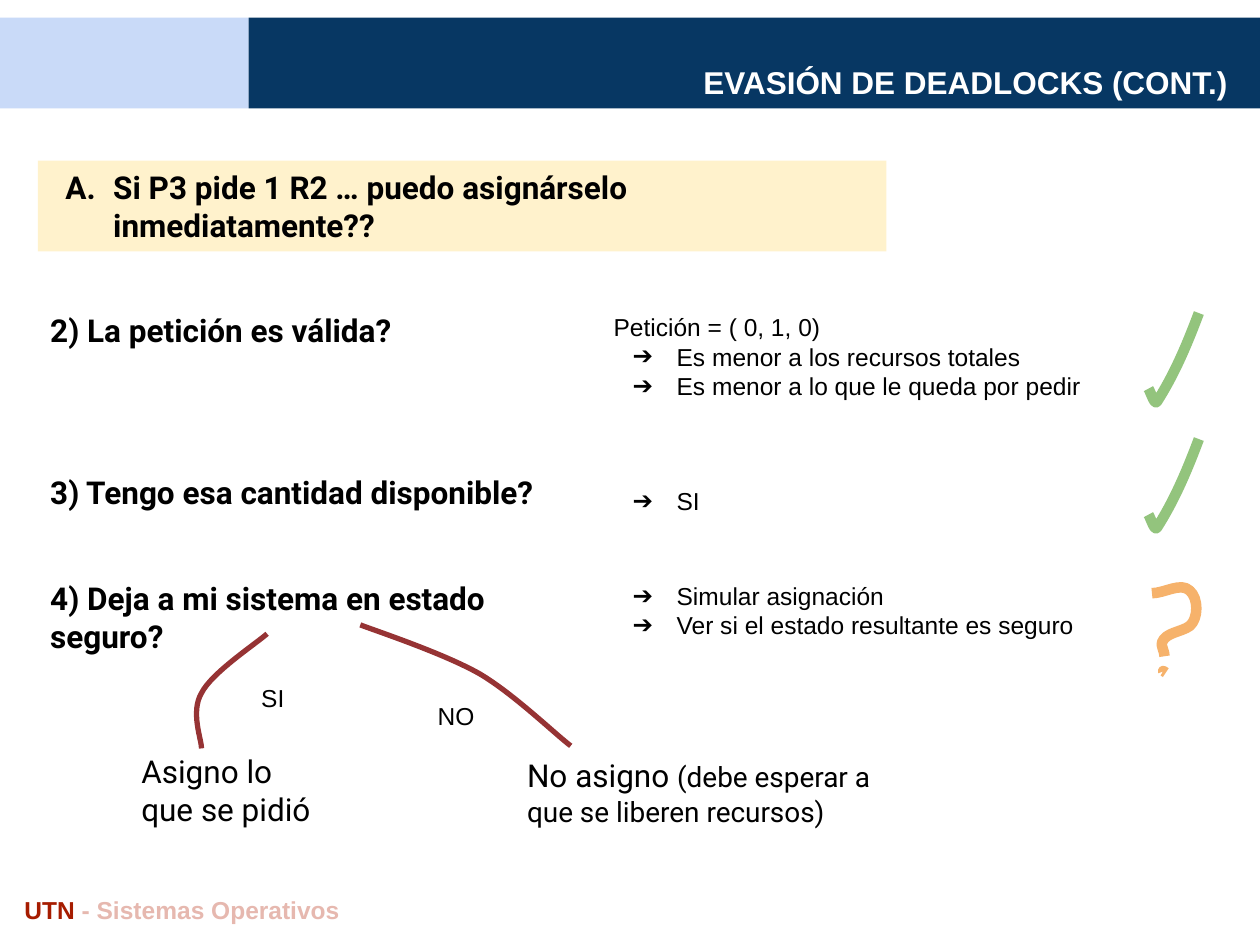
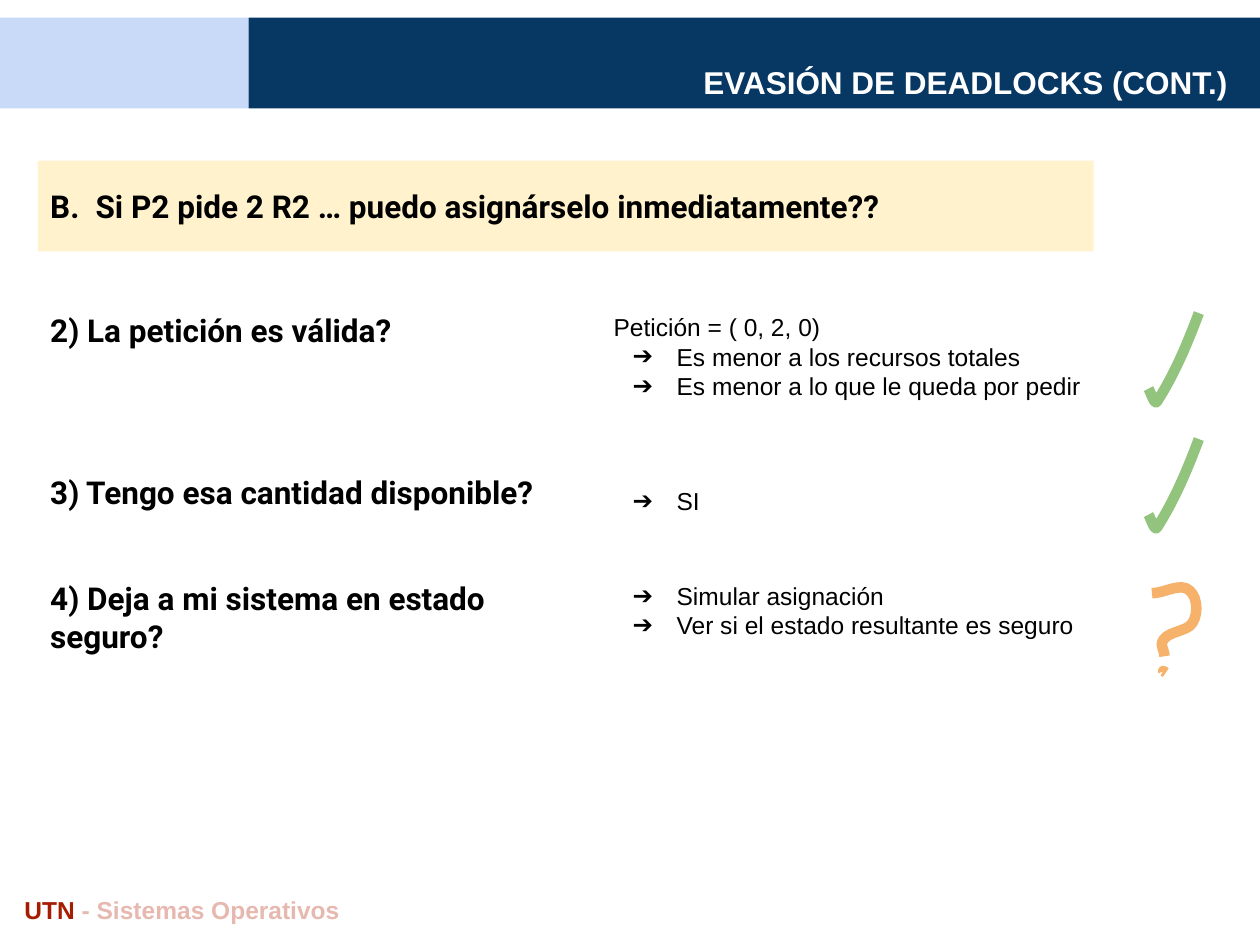
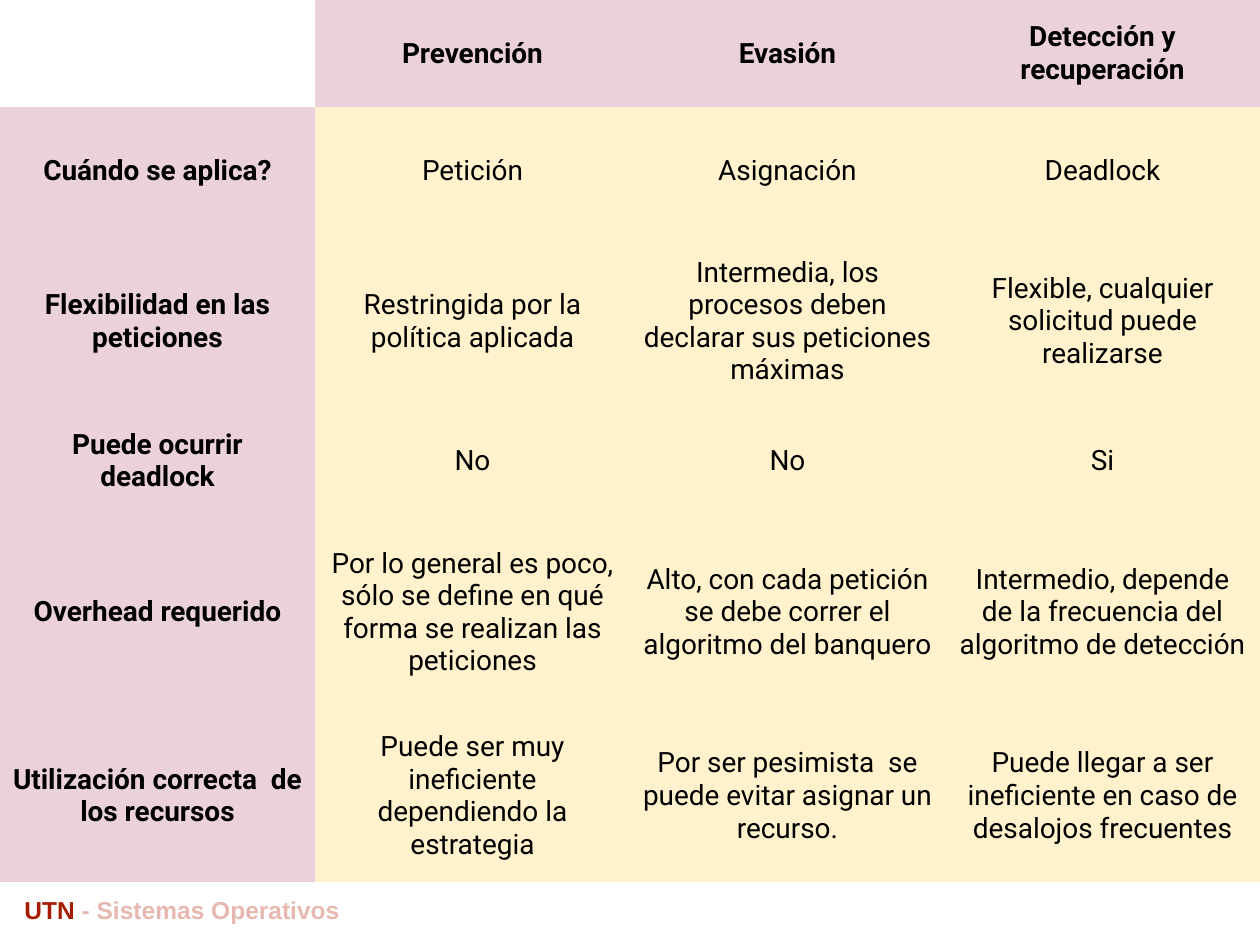
"""Builds three slides on deadlock avoidance: two request checks and a comparison of strategies."""
from collections import namedtuple

from lxml import etree
from pptx import Presentation
from pptx.dml.color import RGBColor
from pptx.enum.shapes import MSO_SHAPE
from pptx.enum.text import MSO_ANCHOR, MSO_AUTO_SIZE, PP_ALIGN
from pptx.oxml.ns import qn
from pptx.util import Inches, Pt

RECTANGLE = MSO_SHAPE.RECTANGLE
TOP, MIDDLE, BOTTOM = MSO_ANCHOR.TOP, MSO_ANCHOR.MIDDLE, MSO_ANCHOR.BOTTOM
LEFT, CENTER, RIGHT = PP_ALIGN.LEFT, PP_ALIGN.CENTER, PP_ALIGN.RIGHT
NO_AUTOFIT = MSO_AUTO_SIZE.NONE

WIDTH, HEIGHT = Inches(10), Inches(7.5)
COLUMN, ROW = WIDTH / 100, HEIGHT / 75
INSET = Inches(0.1)
COMPARISON_LAYOUT, BLANK_LAYOUT = 4, 6
PLAIN_TABLE_STYLE = "{2D5ABB26-0587-4C30-8999-92F81FD0307C}"
SANS, ROBOTO = "Arial", "Roboto"

COLORS = {
    "sky": "C9DAF8", "navy": "073763", "white": "FFFFFF", "black": "000000",
    "cream": "FFF2CC", "pink": "EAD1DC", "brick": "A61C00", "rose": "E6B8AF",
    "green": "93C47D", "orange": "F6B26B", "wine": "963334",
}

Box = namedtuple("Box", "left top width height")
Bullet = namedtuple("Bullet", "margin hanging tag attributes")
Branch = namedtuple("Branch", "box label label_box outcome detail outcome_box curve")

PLAIN = Bullet(0, 0, "a:buNone", {})
TABBED = Bullet(0.36, 0.36, "a:buNone", {})
LETTER = Bullet(0.5, 0.38, "a:buAutoNum", {"type": "alphaUcPeriod"})
ARROW = Bullet(0.5, 0.35, "a:buChar", {"char": "➔"})

CHECK = [[(0, 6), (0.2, 6.3), (0.5, 7.4), (0.7, 7), (2.1, 4.8), (3.1, 2.4), (4, 0)]]
QUERY = [
    [(0, 0.5), (1, 0.5), (2.3, -0.4), (3, 0.3), (3.7, 0.9), (3.7, 2.5), (3, 3.1),
     (2.3, 3.6), (1.1, 3.6), (0.8, 4.4), (0.7, 4.7), (1, 5.1), (1, 5.5)],
    [(1.1, 6.8), (1.1, 6.8), (0.8, 6.6), (0.9, 6.7)],
]

BRANCHES = [
    Branch(Box(10.2, 50.3, 16.2, 15.3), "SI", Box(9.55, 2.9, 5.6, 4.4),
           "Asigno lo que se pidió", "", Box(0.03, 8.4, 16.2, 6.9),
           [(11, 0), (10.1, 0.8), (6.6, 3.1), (5.8, 4.7),
            (4.9, 6.2), (5.8, 8.4), (5.8, 9.1)]),
    Branch(Box(28.6, 49.6, 43.9, 16.3), "NO", Box(5.15, 5.05, 5.6, 4.4),
           "No asigno ", "(debe esperar a que se liberen recursos)",
           Box(12.25, 9.43, 31.7, 6.9),
           [(0, 0), (1.6, 0.6), (6.7, 2.3), (9.5, 3.9),
            (12.2, 5.5), (15.5, 8.7), (16.7, 9.6)]),
]

ROW_HEIGHTS = [8.48, 10.2, 13.67, 8.5, 15.5, 13.65]
STRATEGIES = [
    ["", "Prevención", "Evasión", "Detección y recuperación"],
    ["Cuándo se aplica?", "Petición", "Asignación", "Deadlock"],
    ["Flexibilidad en las peticiones", "Restringida por la política aplicada",
     "Intermedia, los procesos deben declarar sus peticiones máximas",
     "Flexible, cualquier solicitud puede realizarse"],
    ["Puede ocurrir deadlock", "No", "No", "Si"],
    ["Overhead requerido",
     "Por lo general es poco, sólo se define en qué forma se realizan las peticiones",
     "Alto, con cada petición se debe correr el algoritmo del banquero",
     "Intermedio, depende de la frecuencia del algoritmo de detección"],
    ["Utilización correcta  de los recursos",
     "Puede ser muy ineficiente dependiendo la estrategia",
     "Por ser pesimista  se puede evitar asignar un recurso.",
     "Puede llegar a ser ineficiente en caso de desalojos frecuentes"],
]


def rgb(name):
    """Return the named colour."""
    return RGBColor.from_string(COLORS[name])


def within(box, part):
    """Shift a part given relative to a box onto the slide grid."""
    return Box(box.left + part.left, box.top + part.top, part.width, part.height)


def emu(box):
    """Turn grid columns and rows into slide lengths."""
    return (round(box.left * COLUMN), round(box.top * ROW),
            round(box.width * COLUMN), round(box.height * ROW))


def style_run(run, size, font, color, bold):
    """Format one run."""
    run.font.size, run.font.name, run.font.bold = Pt(size), font, bold
    run.font.color.rgb = rgb(color)


def set_bullet(paragraph, bullet):
    """Give a paragraph its indent and its bullet."""
    properties = paragraph._p.get_or_add_pPr()
    properties.set("marL", str(Inches(bullet.margin)))
    properties.set("indent", str(-Inches(bullet.hanging)))
    if bullet.attributes:
        tint = etree.SubElement(properties, qn("a:buClr"))
        etree.SubElement(tint, qn("a:srgbClr"), val=COLORS["black"])
    etree.SubElement(properties, qn(bullet.tag), bullet.attributes)


def write(frame, lines, size, font, color="black", bold=False, align=LEFT, anchor=TOP):
    """Fill a text frame with pairs of text and bullet."""
    frame.word_wrap, frame.auto_size = True, NO_AUTOFIT
    frame.vertical_anchor = anchor
    frame.margin_left = frame.margin_right = INSET
    frame.margin_top = frame.margin_bottom = INSET
    frame.text = "\n".join(text for text, _ in lines)
    for paragraph, (_, bullet) in zip(frame.paragraphs, lines):
        set_bullet(paragraph, bullet)
        paragraph.alignment = align
        paragraph.space_before = paragraph.space_after = Pt(0)
        for run in paragraph.runs:
            style_run(run, size, font, color, bold)


def add_label(slide, box, text, size, font, bold=False, color="black"):
    """Add a one-paragraph text box and return its paragraph."""
    frame = slide.shapes.add_textbox(*emu(box)).text_frame
    write(frame, [(text, PLAIN)], size, font, color, bold)
    return frame.paragraphs[0]


def add_panel(slide, box, color):
    """Add a plain filled rectangle."""
    panel = slide.shapes.add_shape(RECTANGLE, *emu(box))
    panel.shadow.inherit = False
    panel.fill.solid()
    panel.fill.fore_color.rgb = rgb(color)
    panel.line.fill.background()
    return panel


def bend(stroke):
    """Turn every three line segments of a freeform into one cubic curve."""
    segments = list(stroke.element.iter(qn("a:lnTo")))
    for first in range(0, len(segments), 3):
        curve = etree.Element(qn("a:cubicBezTo"))
        segments[first].addprevious(curve)
        for segment in segments[first:first + 3]:
            curve.append(segment[0])
            segment.getparent().remove(segment)


def add_stroke(slide, left, top, nodes, color, weight):
    """Draw an open curve from nodes relative to a corner."""
    points = [((left + x) * COLUMN, (top + y) * ROW) for x, y in nodes]
    builder = slide.shapes.build_freeform(*points[0])
    builder.add_line_segments(points[1:], close=False)
    stroke = builder.convert_to_shape()
    bend(stroke)
    stroke.shadow.inherit = False
    stroke.fill.background()
    stroke.line.color.rgb = rgb(color)
    stroke.line.width = Pt(weight)


def add_header(slide, box):
    """Add the two bands behind the slide title."""
    title = slide.shapes.title
    split = 19.73
    for left, width, color in [(0, split, "sky"), (split, box.width - split, "navy")]:
        band = add_panel(slide, within(box, Box(left, 0, width, box.height)), color)
        title.element.addprevious(band.element)
    title.left, title.top, title.width, title.height = emu(
        within(box, Box(13.45, 2.6, 85, 5)))
    write(title.text_frame, [("EVASIÓN DE DEADLOCKS (CONT.)", PLAIN)],
          18, SANS, "white", True, RIGHT, BOTTOM)


def add_footer(slide, box):
    """Add the course name at the foot of the slide."""
    course = add_label(slide, box, "UTN ", 14, SANS, True, "brick")
    subject = course.add_run()
    subject.text = "- Sistemas Operativos"
    style_run(subject, 14, SANS, "rose", True)


def add_request(slide, box, text, bullet):
    """Add the highlighted request."""
    panel = add_panel(slide, box, "cream")
    write(panel.text_frame, [(text, bullet)], 18, ROBOTO, bold=True, anchor=MIDDLE)


def add_checks(slide, box, petition):
    """Add the questions, their answers and their marks."""
    checks = [
        ("2) La petición es válida?", 0, 0.07, 46.4, 9.8,
         [(petition, PLAIN), ("Es menor a los recursos totales", ARROW),
          ("Es menor a lo que le queda por pedir", ARROW)],
         CHECK, (88.15, 1.15), "green"),
        ("3) Tengo esa cantidad disponible?", 12.8, 13.9, 28.9, 5,
         [("SI", ARROW)], CHECK, (88.15, 11.15), "green"),
        ("4) Deja a mi sistema en estado seguro?", 21.25, 21.4, 40.5, 9.8,
         [("Simular asignación", ARROW),
          ("Ver si el estado resultante es seguro", ARROW)],
         QUERY, (88.43, 22.88), "orange"),
    ]
    *answers, spare = list(slide.placeholders)[1:]
    spare.element.getparent().remove(spare.element)
    for answer, check in zip(answers, checks):
        question, top, answer_top, width, height, lines, mark, (x, y), color = check
        add_label(slide, within(box, Box(0, top, 40.5, 7.2)), question, 18, ROBOTO, True)
        answer.left, answer.top, answer.width, answer.height = emu(
            within(box, Box(44.7, answer_top, width, height)))
        write(answer.text_frame, lines, 14, SANS)
        for nodes in mark:
            add_stroke(slide, box.left + x, box.top + y, nodes, color, 6)


def add_branch(slide, branch):
    """Add one outcome with its curve and label."""
    box = branch.box
    outcome = add_label(slide, within(box, branch.outcome_box), branch.outcome, 18, ROBOTO)
    if branch.detail:
        detail = outcome.add_run()
        detail.text = branch.detail
        style_run(detail, 16, ROBOTO, "black", False)
    add_stroke(slide, box.left, box.top, branch.curve, "wine", 3)
    add_label(slide, within(box, branch.label_box), branch.label, 14, SANS)


def add_strategies(slide, box):
    """Add the table that compares the strategies."""
    frame = slide.shapes.add_table(len(STRATEGIES), len(STRATEGIES[0]), *emu(box))
    table = frame.table
    table.first_row = table.horz_banding = False
    for style in frame.element.iter(qn("a:tableStyleId")):
        style.text = PLAIN_TABLE_STYLE
    for column in table.columns:
        column.width = round(box.width * COLUMN / len(table.columns))
    for r, (height, texts) in enumerate(zip(ROW_HEIGHTS, STRATEGIES)):
        table.rows[r].height = round(height * ROW)
        for c, text in enumerate(texts):
            fill_cell(table.cell(r, c), text, r == 0 or c == 0)


def fill_cell(cell, text, heading):
    """Fill one cell as a heading or as a value."""
    if not text:
        cell.fill.background()
        return
    cell.fill.solid()
    cell.fill.fore_color.rgb = rgb("pink" if heading else "cream")
    cell.vertical_anchor = MIDDLE
    cell.margin_left = cell.margin_right = cell.margin_top = cell.margin_bottom = INSET
    cell.text_frame.text = text
    paragraph = cell.text_frame.paragraphs[0]
    paragraph.alignment = CENTER
    style_run(paragraph.runs[0], 16, ROBOTO, "black", heading)


def add_slide(deck, layout):
    """Add a slide with the shared footer."""
    slide = deck.slides.add_slide(deck.slide_layouts[layout])
    add_footer(slide, Box(0.95, 70, 98.1, 4.4))
    return slide


def add_request_slide(deck, request, bullet, width, petition):
    """Add a slide that checks one request."""
    slide = add_slide(deck, COMPARISON_LAYOUT)
    add_header(slide, Box(0, 1.4, 100, 7.2))
    add_request(slide, Box(3, 12.75, width, 7.2), request, bullet)
    add_checks(slide, Box(3, 23.7, 94, 30), petition)
    return slide


def main():
    """Build and save the deck."""
    deck = Presentation()
    deck.slide_width, deck.slide_height = WIDTH, HEIGHT
    first = add_request_slide(
        deck, "Si P3 pide 1 R2 … puedo asignárselo inmediatamente??",
        LETTER, 67.35, "Petición = ( 0, 1, 0)")
    for branch in BRANCHES:
        add_branch(first, branch)
    add_request_slide(
        deck, "B.\tSi P2 pide 2 R2 … puedo asignárselo inmediatamente??",
        TABBED, 83.8, "Petición = ( 0, 2, 0)")
    add_strategies(add_slide(deck, BLANK_LAYOUT), Box(0, 0, 100, sum(ROW_HEIGHTS)))
    deck.save("out.pptx")


if __name__ == "__main__":
    main()
